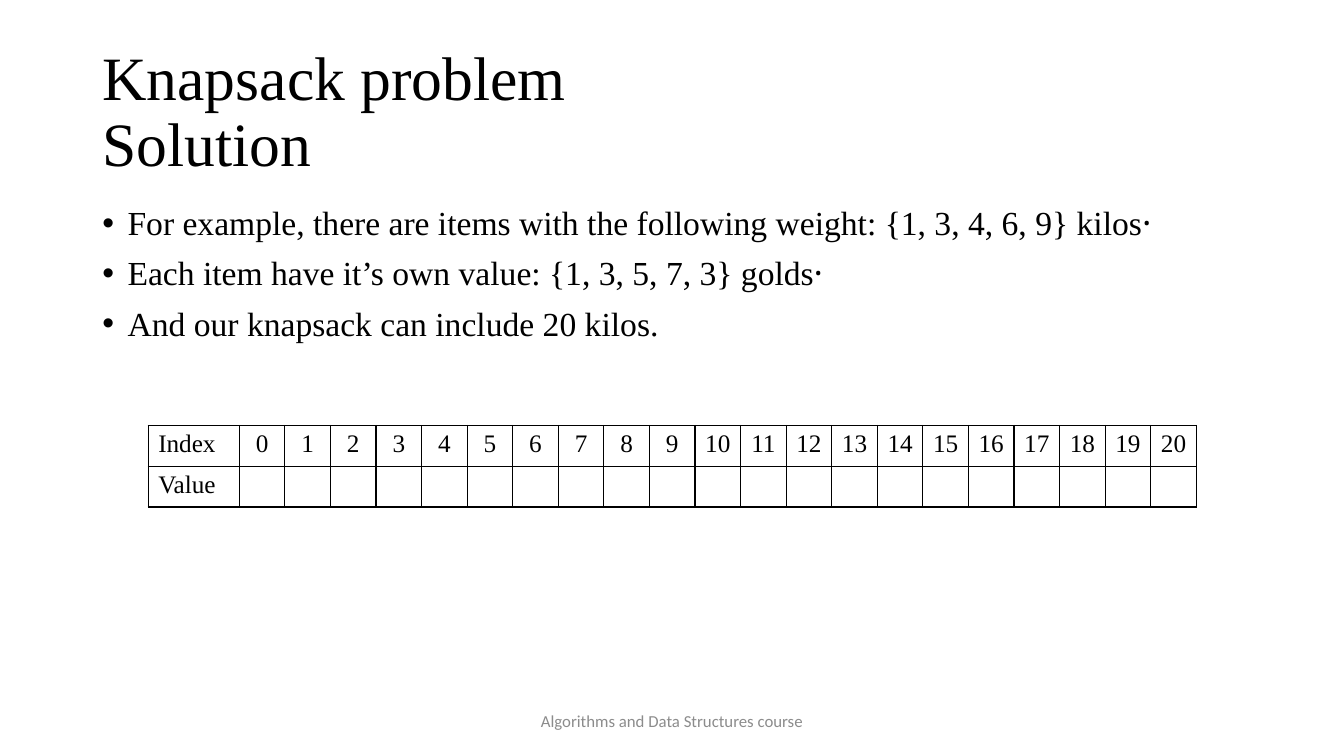
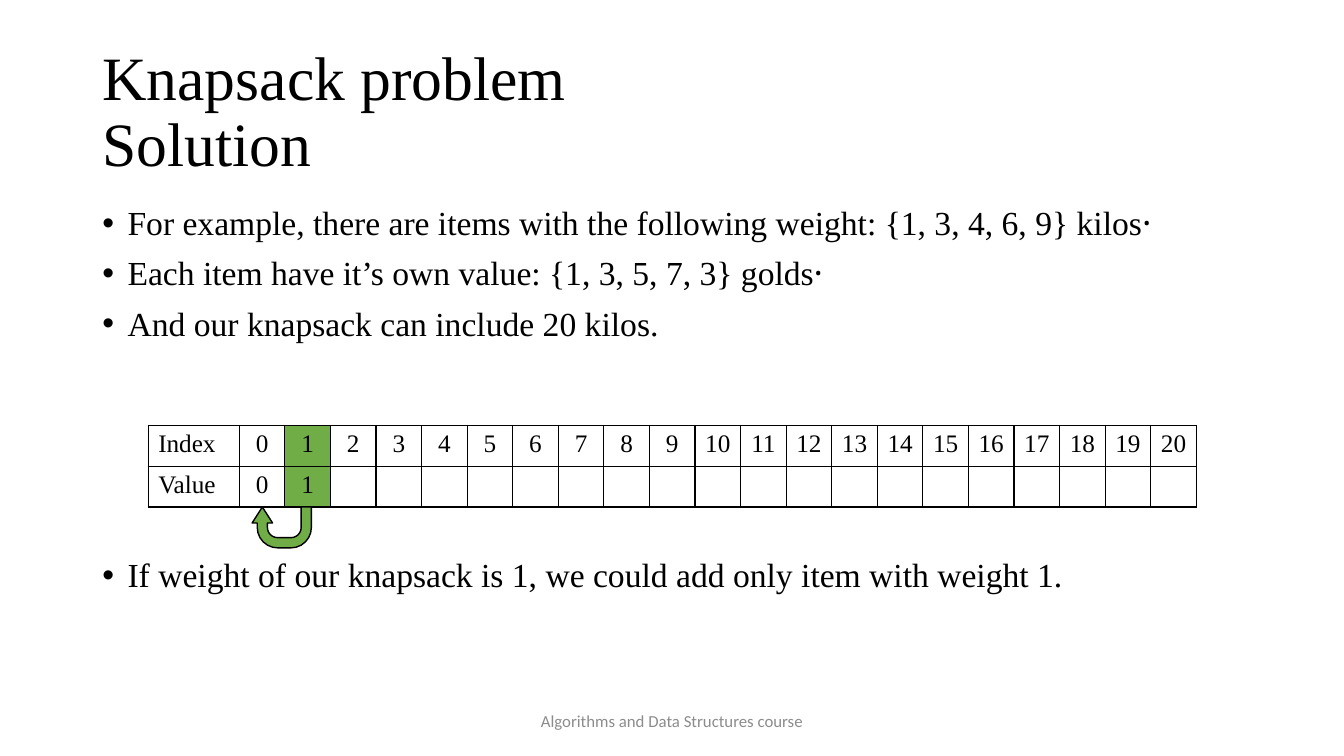
from dataclasses import dataclass

from lxml.etree import SubElement
from pptx import Presentation
from pptx.dml.color import RGBColor
from pptx.enum.shapes import MSO_SHAPE
from pptx.enum.text import MSO_ANCHOR, PP_ALIGN
from pptx.oxml.ns import qn
from pptx.util import Inches, Pt


@dataclass(frozen=True)
class Theme:
    ink: str = "000000"
    paper: str = "FFFFFF"
    mark: str = "70AD47"
    muted: str = "8C8C8C"
    serif: str = "Times New Roman"
    sans: str = "Calibri"
    title: int = 44
    body: int = 24
    table: int = 18
    foot: int = 12
    line: int = 1


THEME = Theme()
WIDTH, HEIGHT = Inches(13.33), Inches(7.5)
COLS, ROWS = 160, 90


def grid(col, row, wide, high):
    return (int(WIDTH * col / COLS), int(HEIGHT * row / ROWS),
            int(WIDTH * wide / COLS), int(HEIGHT * high / ROWS))


TITLE = grid(11, 4.8, 138, 17.4)
BODY = grid(11, 24, 138, 20)
TABLE = grid(17.64, 50.64, 124.8, 9.72)
NOTE = grid(11, 65.9, 138, 8)
FOOT = grid(53, 83.4, 54, 4.8)

FACTS = [
    "For example, there are items with the following weight: {1, 3, 4, 6, 9} kilos․",
    "Each item have it’s own value: {1, 3, 5, 7, 3} golds․",
    "And our knapsack can include 20 kilos.",
]
LIMIT = 20
UNITS = LIMIT + 3


def color(code):
    return RGBColor.from_string(code)


def style(para, size, face=THEME.serif, ink=THEME.ink):
    para.font.size = Pt(size)
    para.font.name = face
    para.font.color.rgb = color(ink)


def frame(slide, box, anchor=MSO_ANCHOR.TOP):
    text = slide.shapes.add_textbox(*box).text_frame
    text.word_wrap = True
    text.vertical_anchor = anchor
    return text


def add_title(slide, box):
    para = frame(slide, box, MSO_ANCHOR.MIDDLE).paragraphs[0]
    para.text = "Knapsack problem\vSolution"
    para.line_spacing = 0.9
    style(para, THEME.title)


def add_list(slide, box, lines):
    text = frame(slide, box)
    for spot, line in enumerate(lines):
        para = text.add_paragraph() if spot else text.paragraphs[0]
        para.text = line
        para.line_spacing = 0.9
        para.space_before = Pt(10 if spot else 0)
        props = para._p.get_or_add_pPr()
        props.set("marL", str(Inches(0.25)))
        props.set("indent", str(-Inches(0.25)))
        SubElement(props, qn("a:buFont"), typeface="Arial")
        SubElement(props, qn("a:buChar"), char="•")
        style(para, THEME.body)


def add_foot(slide, box):
    para = frame(slide, box, MSO_ANCHOR.MIDDLE).paragraphs[0]
    para.text = "Algorithms and Data Structures course"
    para.alignment = PP_ALIGN.CENTER
    style(para, THEME.foot, THEME.sans, THEME.muted)


def add_edges(cell):
    props = cell._tc.get_or_add_tcPr()
    for spot, side in enumerate(("lnL", "lnR", "lnT", "lnB")):
        edge = props.makeelement(qn(f"a:{side}"), {"w": str(Pt(THEME.line))})
        fill = SubElement(edge, qn("a:solidFill"))
        SubElement(fill, qn("a:srgbClr"), val=THEME.ink)
        props.insert(spot, edge)


def add_table(slide, box, values, active):
    left, top, wide, high = box
    table = slide.shapes.add_table(2, LIMIT + 2, *box).table
    table.first_row = table.horz_banding = False
    unit = wide // UNITS
    for spot, col in enumerate(table.columns):
        col.width = unit if spot else 2 * unit
    blanks = [""] * (LIMIT + 1 - len(values))
    rows = [["Index", *range(LIMIT + 1)], ["Value", *values, *blanks]]
    for row, words in enumerate(rows):
        table.rows[row].height = high // 2
        for spot, word in enumerate(words):
            cell = table.cell(row, spot)
            cell.fill.solid()
            chosen = active is not None and spot == active + 1
            cell.fill.fore_color.rgb = color(THEME.mark if chosen else THEME.paper)
            add_edges(cell)
            para = cell.text_frame.paragraphs[0]
            para.text = str(word)
            if spot:
                cell.margin_left = cell.margin_right = 0
                para.alignment = PP_ALIGN.CENTER
            style(para, THEME.table)


def add_arrow(slide, box, target):
    left, top, wide, high = box
    unit = wide / UNITS
    arrow = slide.shapes.add_shape(
        MSO_SHAPE.U_TURN_ARROW, int(left + unit * (target + 2.28)), top + high,
        int(unit * 1.3), high // 2)
    arrow.rotation = 180
    for spot, share in enumerate((0.25, 0.25, 0.39, 0.5, 1)):
        arrow.adjustments[spot] = share
    arrow.shadow.inherit = False
    arrow.fill.solid()
    arrow.fill.fore_color.rgb = color(THEME.mark)
    arrow.line.color.rgb = color(THEME.ink)
    arrow.line.width = Pt(THEME.line)


def add_step(deck, values=(), active=None, note=None):
    slide = deck.slides.add_slide(deck.slide_layouts[6])
    add_title(slide, TITLE)
    add_list(slide, BODY, FACTS)
    if note:
        add_list(slide, NOTE, [note])
    add_foot(slide, FOOT)
    add_table(slide, TABLE, values, active)
    if active is not None:
        add_arrow(slide, TABLE, active - 1)


def main():
    deck = Presentation()
    deck.slide_width, deck.slide_height = WIDTH, HEIGHT
    add_step(deck)
    add_step(deck, (0, 1), 1,
             "If weight of our knapsack is 1, we could add only item with weight 1.")
    deck.save("out.pptx")


if __name__ == "__main__":
    main()
